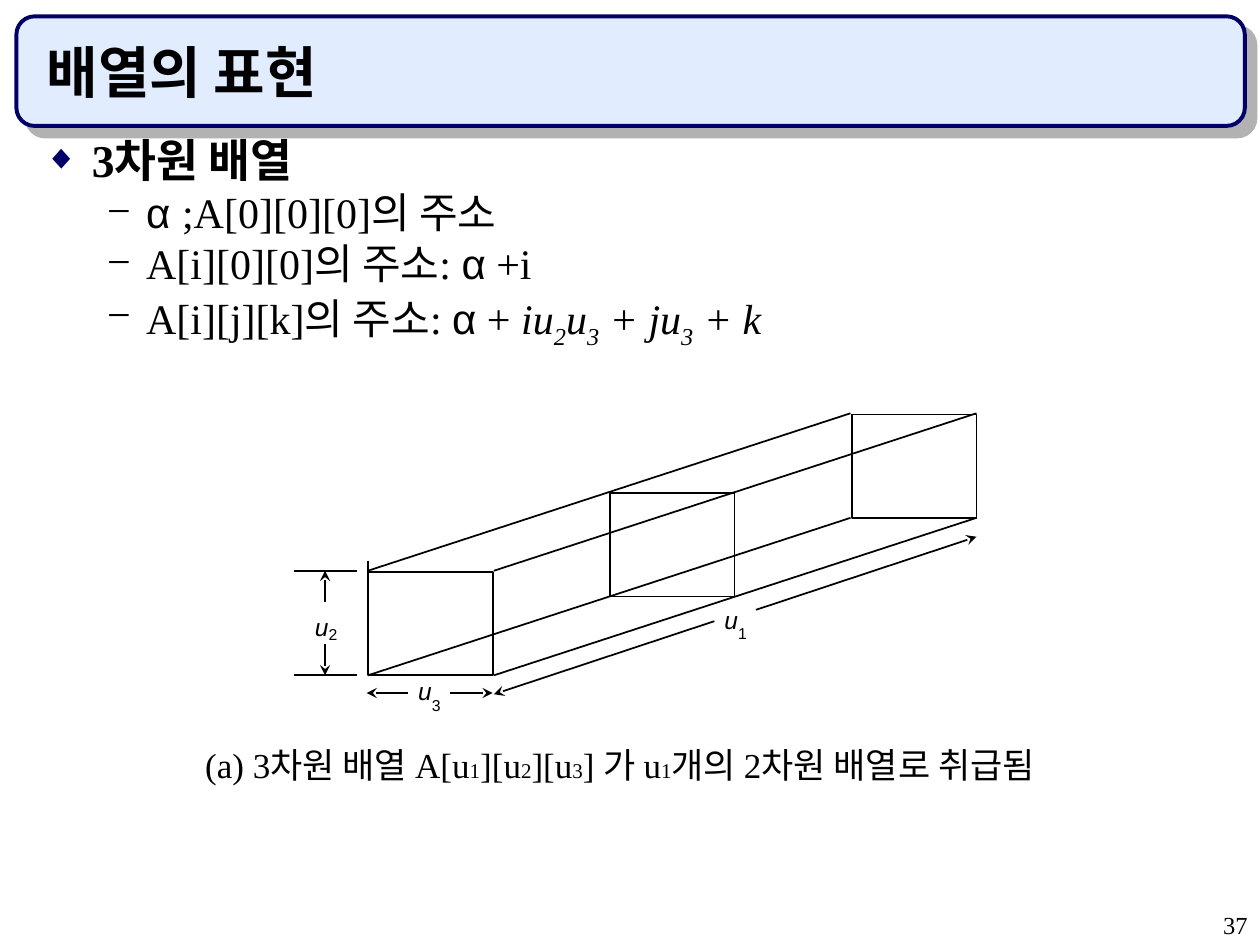
"""Build the slide on the representation of three-dimensional arrays."""
import pptx
import pptx.dml.color
import pptx.enum.shapes
import pptx.enum.text
import pptx.oxml
import pptx.oxml.ns
import pptx.util
from lxml import etree

Inches, Pt = pptx.util.Inches, pptx.util.Pt
qn = pptx.oxml.ns.qn
ALIGN = pptx.enum.text.PP_ALIGN
BLACK = pptx.dml.color.RGBColor(0, 0, 0)
NAVY = pptx.dml.color.RGBColor(0x00, 0x00, 0x66)
PALE_BLUE = pptx.dml.color.RGBColor(0xE1, 0xEC, 0xFF)
SHADOW_GRAY = pptx.dml.color.RGBColor(0xB2, 0xB2, 0xB2)
SERIF, SANS, KOREAN = "Times New Roman", "Arial", "Noto Sans CJK KR"

TITLE = "배열의 표현"
PAGE = "37"
HEADING = "3차원 배열"
ADDRESSES = [
    [("α ", "greek"), (";A[0][0][0]의 주소", "")],
    [("A[i][0][0]의 주소: ", ""), ("α", "greek"), (" +i", "")],
    [("A[i][j][k]의 주소: ", ""), ("α", "greek"), (" + ", ""),
     ("iu", "var"), ("2", "sub"), ("u", "var"), ("3", "sub"),
     (" + ju", "var"), ("3", "sub"), (" + k", "var")],
]
CAPTION = [("(a) 3차원 배열 A[u", 20), ("1", 12), ("][u", 20), ("2", 12), ("][u", 20),
           ("3", 12), ("] 가 u", 20), ("1", 12), ("개의 2차원 배열로 취급됨", 20)]

FRONT_X, FRONT_Y, PLANE_W, PLANE_H = 2.92, 4.54, 0.99, 0.82
STEP_X, STEP_Y, PLANES = 1.92, -0.625, 3
EDGE_TOP, EDGE_BOTTOM, EDGE_RIGHT = 4.53, 5.36, 3.92
EDGE_RUN, EDGE_RISE = 3.83, -1.25
DIMENSION_LABELS = [("2", 2.40, 4.81, 0.10), ("3", 3.22, 5.32, 0.15), ("1", 5.65, 4.75, 0.15)]
GUIDES = [((2.33, EDGE_TOP), (2.83, EDGE_TOP)),
          ((2.33, EDGE_BOTTOM), (2.83, EDGE_BOTTOM)),
          ((FRONT_X, 4.45), (FRONT_X, 4.86))]
ARROWS = [((2.58, 4.78), (2.58, EDGE_TOP)), ((2.58, 5.11), (2.58, EDGE_BOTTOM)),
          ((3.24, 5.5), (2.91, 5.5)), ((3.57, 5.5), (3.91, 5.5)),
          ((5.67, 4.93), (EDGE_RIGHT, 5.51)), ((6, 4.84), (7.75, 4.26))]


def place(shape, left, top, width, height):
    shape.left, shape.top = Inches(left), Inches(top)
    shape.width, shape.height = Inches(width), Inches(height)


def set_font(target, face, size, color=BLACK, bold=False, italic=None):
    font = target.font
    font.name, font.size, font.bold, font.italic = face, Pt(size), bold, italic
    font.color.rgb = color
    holder = font._element if hasattr(font, "_element") else font._rPr
    holder.find(qn("a:latin")).addnext(holder.makeelement(qn("a:ea"), {"typeface": KOREAN}))


def set_bullet(paragraph, char, color, percent, margin, indent):
    paragraph.alignment = ALIGN.JUSTIFY
    paragraph.line_spacing = 0.8
    props = paragraph._p.get_or_add_pPr()
    props.set("marL", str(Inches(margin)))
    props.set("indent", str(Inches(indent)))
    bullet_color = etree.SubElement(props, qn("a:buClr"))
    etree.SubElement(bullet_color, qn("a:srgbClr"), val=str(color))
    etree.SubElement(props, qn("a:buSzPct"), val=str(percent * 1000))
    etree.SubElement(props, qn("a:buFont"), typeface=SERIF)
    etree.SubElement(props, qn("a:buChar"), char=char)


def add_banner(slide):
    banner = slide.shapes.add_shape(pptx.enum.shapes.MSO_SHAPE.ROUNDED_RECTANGLE, 0, 0, 0, 0)
    place(banner, 0.13, 0.13, 9.75, 0.87)
    banner.fill.solid()
    banner.fill.fore_color.rgb = PALE_BLUE
    banner.line.color.rgb = NAVY
    banner.line.width = Pt(2.25)
    banner.shadow.inherit = False
    effects = banner._element.spPr.find(qn("a:effectLst"))
    shadow = etree.SubElement(effects, qn("a:outerShdw"), dist=str(Pt(8.5)),
                              dir=str(45 * 60000), algn="ctr", rotWithShape="0")
    etree.SubElement(shadow, qn("a:srgbClr"), val=str(SHADOW_GRAY))
    slide.shapes._spTree.insert(2, banner._element)


def add_text(slide, left, top, width, height, wrap=True):
    box = slide.shapes.add_textbox(*map(Inches, (left, top, width, height)))
    box.text_frame.word_wrap = wrap
    return box.text_frame.paragraphs[0]


def add_label(slide, text, left, top, width, height, size, italic=False):
    paragraph = add_text(slide, left, top, width, height, wrap=False)
    paragraph.text = text
    set_font(paragraph, SANS, size, italic=italic)


def add_line(shapes, start, end, arrow=False):
    line = shapes.add_connector(pptx.enum.shapes.MSO_CONNECTOR.STRAIGHT,
                                *map(Inches, (*start, *end)))
    line.line.color.rgb = BLACK
    line.line.width = Pt(1)
    if arrow:
        etree.SubElement(line.line._get_or_add_ln(), qn("a:tailEnd"), type="stealth")
    etree.SubElement(line._element.spPr, qn("a:effectLst"))


def add_title(slide):
    title = slide.shapes.title
    place(title, 0.27, 0.21, 9.42, 0.67)
    frame = title.text_frame
    frame.text = TITLE
    frame.vertical_anchor = pptx.enum.text.MSO_ANCHOR.BOTTOM
    frame.auto_size = pptx.enum.text.MSO_AUTO_SIZE.NONE
    frame.paragraphs[0].alignment = ALIGN.LEFT
    set_font(frame.paragraphs[0], KOREAN, 32, bold=True)


def add_body(slide):
    body = slide.placeholders[1]
    place(body, 0.25, 1.08, 9.42, 5.83)
    frame = body.text_frame
    frame.auto_size = pptx.enum.text.MSO_AUTO_SIZE.NONE
    heading = frame.paragraphs[0]
    heading.text = HEADING
    heading.space_before = Pt(6.5)
    set_bullet(heading, "◆", NAVY, 75, 0.38, -0.38)
    set_font(heading, SERIF, 26, bold=True)
    for address in ADDRESSES:
        item = frame.add_paragraph()
        item.level = 1
        item.space_before = Pt(6)
        set_bullet(item, "−", BLACK, 100, 0.81, -0.31)
        for text, style in address:
            run = item.add_run()
            run.text = text
            set_font(run, SANS if style == "greek" else SERIF, 24,
                     italic=style in ("var", "sub"))
            if style == "sub":
                run.font._element.set("baseline", "-25000")


def add_prism(slide):
    prism = slide.shapes.add_group_shape()
    for index in range(PLANES):
        plane = prism.shapes.add_shape(pptx.enum.shapes.MSO_SHAPE.RECTANGLE, 0, 0, 0, 0)
        place(plane, FRONT_X + index * STEP_X, FRONT_Y + index * STEP_Y, PLANE_W, PLANE_H)
        plane.fill.background()
        plane.line.color.rgb = BLACK
        plane.line.width = Pt(1)
        plane.shadow.inherit = False
    for x in (FRONT_X, EDGE_RIGHT):
        for y in (EDGE_TOP, EDGE_BOTTOM):
            add_line(prism.shapes, (x, y), (x + EDGE_RUN, y + EDGE_RISE))


def add_dimensions(slide):
    for start, end in GUIDES:
        add_line(slide.shapes, start, end)
    for start, end in ARROWS:
        add_line(slide.shapes, start, end, arrow=True)
    for subscript, left, top, drop in DIMENSION_LABELS:
        add_label(slide, "u", left, top, 0.31, 0.33, 14, italic=True)
        add_label(slide, subscript, left + 0.11, top + drop, 0.27, 0.25, 9)


def add_caption(slide):
    caption = add_text(slide, 1.53, 5.85, 7.32, 0.44)
    for text, size in CAPTION:
        run = caption.add_run()
        run.text = text
        set_font(run, SERIF, size)


def add_page_number(slide):
    number = add_text(slide, 7.92, 7.17, 2.08, 0.33)
    number.text = PAGE
    number.alignment = ALIGN.RIGHT
    number.space_before = Pt(8.8)
    set_font(number, SERIF, 14)


def main():
    deck = pptx.Presentation()
    deck.slide_width, deck.slide_height = Inches(10), Inches(7.5)
    slide = deck.slides.add_slide(deck.slide_layouts[1])
    for add_part in (add_banner, add_title, add_body, add_prism,
                     add_dimensions, add_caption, add_page_number):
        add_part(slide)
    deck.save("out.pptx")


if __name__ == "__main__":
    main()
